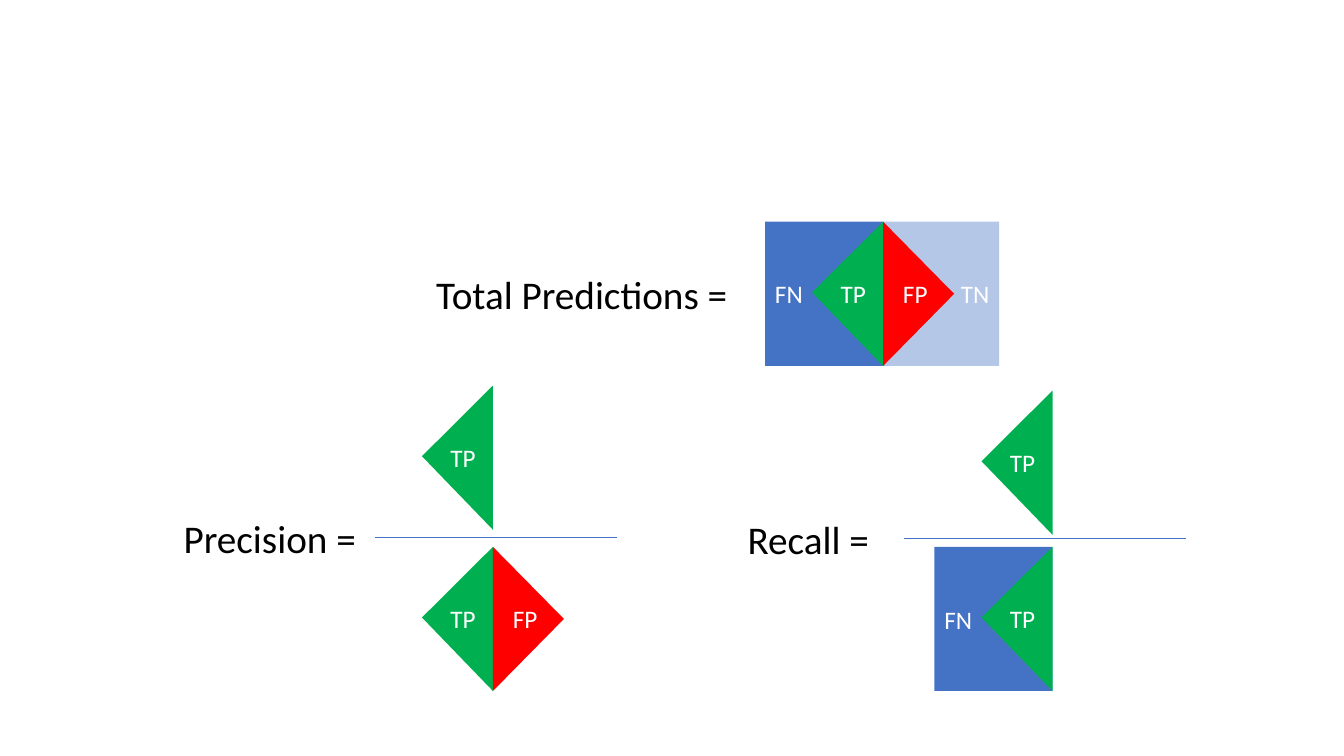
from lxml import etree
from pptx import Presentation
from pptx.dml.color import RGBColor
from pptx.enum.shapes import MSO_CONNECTOR, MSO_SHAPE
from pptx.enum.text import MSO_ANCHOR, PP_ALIGN
from pptx.oxml.ns import qn
from pptx.util import Pt

RECT, CHORD = MSO_SHAPE.RECTANGLE, MSO_SHAPE.CHORD
WEDGE = MSO_SHAPE.ISOSCELES_TRIANGLE
LINE = MSO_CONNECTOR.STRAIGHT
LEFT, MID, RIGHT = PP_ALIGN.LEFT, PP_ALIGN.CENTER, PP_ALIGN.RIGHT
BLUE, PALE, GREEN, RED = "4472C4", "B4C7E7", "00B050", "FF0000"
WHITE, BLACK = "FFFFFF", "000000"
TALL, DEEP, WIDE = 103, 50.7, 84.3


def paint(item, color):
    """Set a solid colour on a fill."""
    item.solid()
    item.fore_color.rgb = RGBColor.from_string(color)


def write(frame, text, size=18, color=WHITE, align=LEFT, anchor=MSO_ANCHOR.MIDDLE):
    """Put formatted text into a frame."""
    frame.word_wrap = True
    frame.vertical_anchor = anchor
    para = frame.paragraphs[0]
    para.alignment = align
    run = para.add_run()
    run.text = text
    run.font.name = "Calibri"
    run.font.size = Pt(size)
    paint(run.font.fill, color)


def block(slide, kind, x, y, w, h, color):
    """Add a plain filled shape."""
    shape = slide.shapes.add_shape(kind, Pt(x), Pt(y), Pt(w), Pt(h))
    shape.shadow.inherit = False
    paint(shape.fill, color)
    shape.line.fill.background()
    return shape


def half(slide, base, top, text, color, sign, peak, arc):
    """Add a half diamond on an upright base, with its labelled chord."""
    mid = base + sign * DEEP / 2
    wedge = block(slide, WEDGE, mid - TALL / 2, top + (TALL - DEEP) / 2,
                  TALL, DEEP, color)
    wedge.rotation = 90 * sign % 360
    wedge.adjustments[0] = peak
    x = base if sign > 0 else base - 44.6
    chord = block(slide, CHORD, x, top + 35.3, 48.6, 31.7, color)
    chord.adjustments[0], chord.adjustments[1] = 25.37, arc
    write(chord.text_frame, text)


def true(slide, base, top):
    """Add the green TP half."""
    half(slide, base, top, "TP", GREEN, -1, 0.51, 97.2)


def false(slide, base, top):
    """Add the red FP half."""
    half(slide, base, top, "FP", RED, 1, 0.5, 98.09)


def miss(slide, base, top):
    """Add the blue FN box left of the base."""
    box = block(slide, RECT, base - WIDE, top, WIDE, TALL, BLUE)
    write(box.text_frame, "FN")


def label(slide, text, x, y, w):
    """Add the left side of a formula."""
    box = slide.shapes.add_textbox(Pt(x), Pt(y), Pt(w), Pt(41.2))
    write(box.text_frame, text, size=28, color=BLACK, align=MID,
          anchor=MSO_ANCHOR.TOP)


def bar(slide, x, y, end):
    """Add a fraction bar."""
    line = slide.shapes.add_connector(LINE, Pt(x), Pt(y), Pt(end), Pt(y))
    paint(line.line.fill, BLUE)
    line.line.width = Pt(0.5)
    etree.SubElement(line._element.spPr, qn("a:effectLst"))


def main():
    """Build the slide."""
    deck = Presentation()
    deck.slide_width, deck.slide_height = Pt(960), Pt(540)
    slide = deck.slides.add_slide(deck.slide_layouts[6])

    base, top = 630.8, 158.4
    label(slide, "Total Predictions =", 297.4, 189.4, 236.2)
    rest = block(slide, RECT, base, top, 83, TALL, PALE)
    write(rest.text_frame, "TN", align=RIGHT)
    miss(slide, base, top)
    true(slide, base, top)
    false(slide, base, top)

    low = 390.6
    base = 352.1
    label(slide, "Precision =", 117.4, 363.6, 150.5)
    bar(slide, 267.9, 383.8, 440.6)
    true(slide, base, 275.4)
    true(slide, base, low)
    false(slide, base, low)

    base = 751.8
    label(slide, "Recall =", 509, 364.3, 136.8)
    bar(slide, 645.8, 384.5, 846.9)
    true(slide, base, 279)
    miss(slide, base, low)
    true(slide, base, low)

    deck.save("out.pptx")


main()
